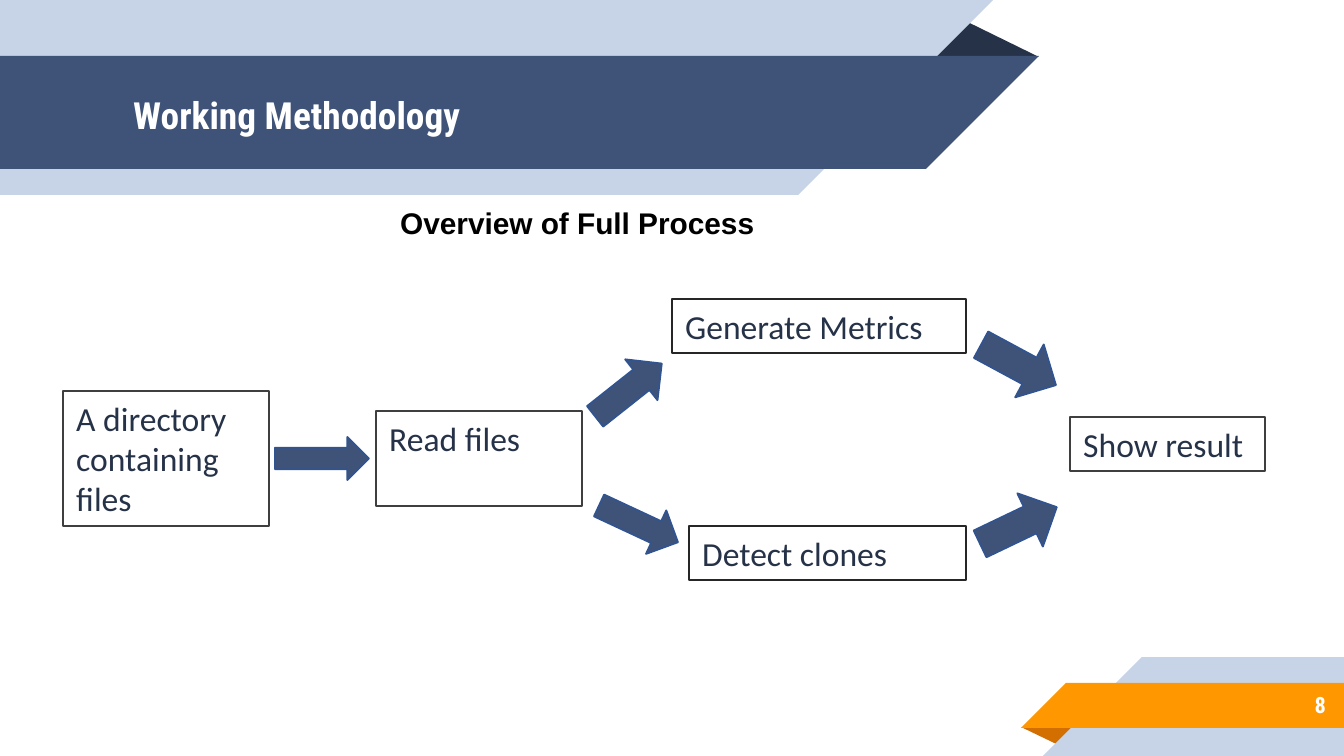
from pptx import Presentation
from pptx.dml.color import RGBColor
from pptx.enum.shapes import MSO_SHAPE
from pptx.enum.text import MSO_ANCHOR, PP_ALIGN
from pptx.util import Emu, Pt

NAVY, DARK, PALE = "3F5378", "263248", "C7D3E6"
ORANGE, RUST, WHITE = "FF9800", "D26F00", "FFFFFF"
HEADING = dict(name="Roboto Condensed", bold=True)


def px(n):
    return Emu(round(n * 914400 / 134.4))


def rgb(code):
    return RGBColor.from_string(code)


class Deck:
    def __init__(self, w, h):
        self.prs = Presentation()
        self.prs.slide_width, self.prs.slide_height = px(w), px(h)
        self.s = self.prs.slides.add_slide(self.prs.slide_layouts[6])

    def shape(self, kind, box, fill=None, line=None, weight=1.0, rot=0, flip=False):
        sp = self.s.shapes.add_shape(kind, *map(px, box))
        sp.shadow.inherit = False
        sp.rotation = rot
        if fill:
            sp.fill.solid()
            sp.fill.fore_color.rgb = rgb(fill)
        else:
            sp.fill.background()
        if line:
            sp.line.color.rgb = rgb(line)
            sp.line.width = Pt(weight)
        else:
            sp.line.fill.background()
        if flip:
            sp._element.spPr.xfrm.set("flipH", "1")
        return sp

    def ribbon(self, x, y, w, h, tip_x, color, rot=0):
        """Draw a band whose slanted end is a right triangle as wide as it is high."""
        self.shape(MSO_SHAPE.RECTANGLE, (x, y, w, h), color)
        self.shape(MSO_SHAPE.RIGHT_TRIANGLE, (tip_x, y, h, h), color, rot=rot, flip=True)

    def fold(self, box, color, rot=0):
        sp = self.shape(MSO_SHAPE.ISOSCELES_TRIANGLE, box, color, rot=rot)
        sp.adjustments[0] = 0.32

    def set_text(self, sp, text, size, color, align=PP_ALIGN.LEFT,
                 anchor=MSO_ANCHOR.TOP, **font):
        tf = sp.text_frame
        tf.text = text
        tf.word_wrap = True
        tf.vertical_anchor = anchor
        for p in tf.paragraphs:
            p.alignment = align
            for key, value in dict(size=Pt(size), **font).items():
                setattr(p.font, key, value)
            p.font.color.rgb = rgb(color)

    def label(self, box, text, size, color, **style):
        self.set_text(self.s.shapes.add_textbox(*map(px, box)), text, size, color, **style)

    def step(self, box, text, line):
        sp = self.shape(MSO_SHAPE.RECTANGLE, box, line=line, weight=0.75)
        self.set_text(sp, text, 18, DARK, name="Calibri")

    def arrow(self, box, rot=0):
        self.shape(MSO_SHAPE.RIGHT_ARROW, box, NAVY, "31538F", rot=rot)


def main():
    d = Deck(1344, 756)

    d.fold((925, 19, 114, 38), DARK)
    d.ribbon(0, 0, 798, 195, 798, PALE, rot=180)
    d.ribbon(0, 56, 926, 113, 926, NAVY, rot=180)
    d.fold((1021, 727, 58, 19), RUST, rot=180)
    d.ribbon(1142, 657, 202, 99, 1043, PALE)
    d.ribbon(1066, 683, 278, 45, 1021, ORANGE)

    d.label((120, 58, 773, 113), "Working Methodology", 20, WHITE,
            anchor=MSO_ANCHOR.MIDDLE, **HEADING)
    d.label((1120, 681, 219, 47), "8", 12, WHITE, align=PP_ALIGN.RIGHT,
            anchor=MSO_ANCHOR.MIDDLE, **HEADING)
    d.label((387, 198, 388, 50), "Overview of Full Process", 16, "000000",
            name="Arial", bold=True)

    for box, text, line in [
        ((63, 391, 206, 135), "A directory\ncontaining\nfiles", "3F3F3F"),
        ((376, 411, 206, 95), "Read files", "3F3F3F"),
        ((672, 299, 294, 54), "Generate Metrics", "262626"),
        ((689, 526, 277, 54), "Detect clones", "262626"),
        ((1070, 417, 195, 54), "Show result", "3F3F3F"),
    ]:
        d.step(box, text, line)

    for box, rot in [
        ((275, 437, 94, 43), 0),
        ((586, 364, 85, 52), 321.6),
        ((595, 500, 87, 48), 25),
        ((976, 335, 85, 60), 28.3),
        ((976, 496, 85, 59), 334.4),
    ]:
        d.arrow(box, rot)

    d.prs.save("out.pptx")


if __name__ == "__main__":
    main()
